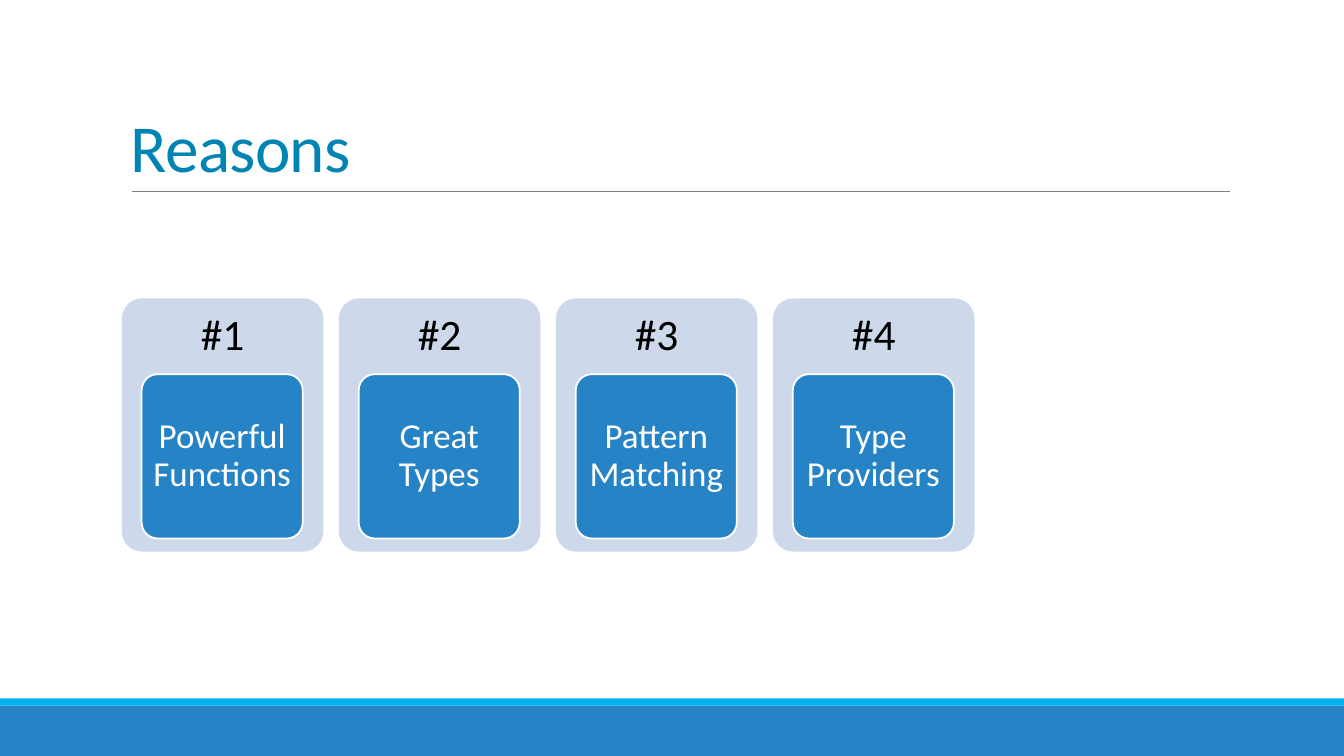
import pptx
import pptx.util
import pptx.dml.color
import pptx.enum.shapes
import pptx.enum.text
import pptx.oxml.ns
import lxml.etree

Cm = pptx.util.Cm
Pt = pptx.util.Pt
RGBColor = pptx.dml.color.RGBColor
SHAPE = pptx.enum.shapes.MSO_SHAPE
ANCHOR = pptx.enum.text.MSO_ANCHOR
ALIGN = pptx.enum.text.PP_ALIGN

TITLE = "Reasons"
REASONS = ["Powerful Functions", "Great Types", "Pattern Matching", "Type Providers"]

WHITE = RGBColor(0xFF, 0xFF, 0xFF)
BLACK = RGBColor(0, 0, 0)
BLUE = RGBColor(0x26, 0x83, 0xC6)
BRIGHT_BLUE = RGBColor(0x00, 0xB0, 0xF0)
TITLE_BLUE = RGBColor(0x00, 0x84, 0xB4)
PALE_BLUE = RGBColor(0xCD, 0xD9, 0xEA)
GRAY = RGBColor(0x80, 0x80, 0x80)

SLIDE_WIDTH, SLIDE_HEIGHT = 33.87, 19.05
FOOTER_TOP, STRIPE_HEIGHT = 17.78, 0.18
CARD_LEFT, CARD_TOP, CARD_WIDTH, CARD_HEIGHT = 3.07, 7.52, 5.08, 6.38
CARD_PITCH, HEADING_HEIGHT = 5.47, 1.91
TILE_WIDTH, TILE_HEIGHT, TILE_INDENT = 4.06, 4.14, 0.5

presentation = pptx.Presentation()
presentation.slide_width = Cm(SLIDE_WIDTH)
presentation.slide_height = Cm(SLIDE_HEIGHT)
slide = presentation.slides.add_slide(presentation.slide_layouts[6])


def add_block(kind, left, top, width, height, color):
    shape = slide.shapes.add_shape(kind, Cm(left), Cm(top), Cm(width), Cm(height))
    shape.shadow.inherit = False
    shape.fill.solid()
    shape.fill.fore_color.rgb = color
    shape.line.fill.background()
    if kind == SHAPE.ROUNDED_RECTANGLE:
        shape.adjustments[0] = 0.1
    return shape


def write(shape, text, size, color, anchor, align, spacing, insets):
    frame = shape.text_frame
    frame.word_wrap = True
    frame.vertical_anchor = anchor
    frame.margin_left, frame.margin_top, frame.margin_right, frame.margin_bottom = map(Cm, insets)
    paragraph = frame.paragraphs[0]
    paragraph.alignment = align
    paragraph.line_spacing = spacing
    run = paragraph.add_run()
    run.text = text
    run.font.name = "Calibri"
    run.font.size = Pt(size)
    run.font.color.rgb = color
    return run


add_block(SHAPE.RECTANGLE, 0, FOOTER_TOP, SLIDE_WIDTH, SLIDE_HEIGHT - FOOTER_TOP, BLUE)
add_block(SHAPE.RECTANGLE, 0, FOOTER_TOP - STRIPE_HEIGHT, SLIDE_WIDTH, STRIPE_HEIGHT, BRIGHT_BLUE)

rule = slide.shapes.add_connector(
    pptx.enum.shapes.MSO_CONNECTOR.STRAIGHT, Cm(3.33), Cm(4.82), Cm(31), Cm(4.82))
rule.line.color.rgb = GRAY
rule.line.width = Pt(0.5)
lxml.etree.SubElement(rule.element.spPr, pptx.oxml.ns.qn("a:effectLst"))

title = slide.shapes.add_textbox(Cm(3.05), Cm(0.79), Cm(27.94), Cm(4.04))
title_run = write(title, TITLE, 48, TITLE_BLUE, ANCHOR.BOTTOM, ALIGN.LEFT, 0.85,
                  (0.25, 0.13, 0.25, 0.13))
title_run.font._element.set("spc", "-50")

for index, reason in enumerate(REASONS):
    left = CARD_LEFT + index * CARD_PITCH
    card = add_block(SHAPE.ROUNDED_RECTANGLE, left, CARD_TOP, CARD_WIDTH, CARD_HEIGHT, PALE_BLUE)
    write(card, f"#{index + 1}", 31, BLACK, ANCHOR.MIDDLE, ALIGN.CENTER, 0.9,
          (0.18, 0.18, 0.18, CARD_HEIGHT - HEADING_HEIGHT + 0.18))
    tile = add_block(SHAPE.ROUNDED_RECTANGLE, left + TILE_INDENT, CARD_TOP + HEADING_HEIGHT,
                     TILE_WIDTH, TILE_HEIGHT, BLUE)
    tile.line.color.rgb = WHITE
    tile.line.width = Pt(1.25)
    write(tile, reason, 25, WHITE, ANCHOR.MIDDLE, ALIGN.CENTER, 0.9, (0.17, 0.13, 0.17, 0.13))

presentation.save("out.pptx")
